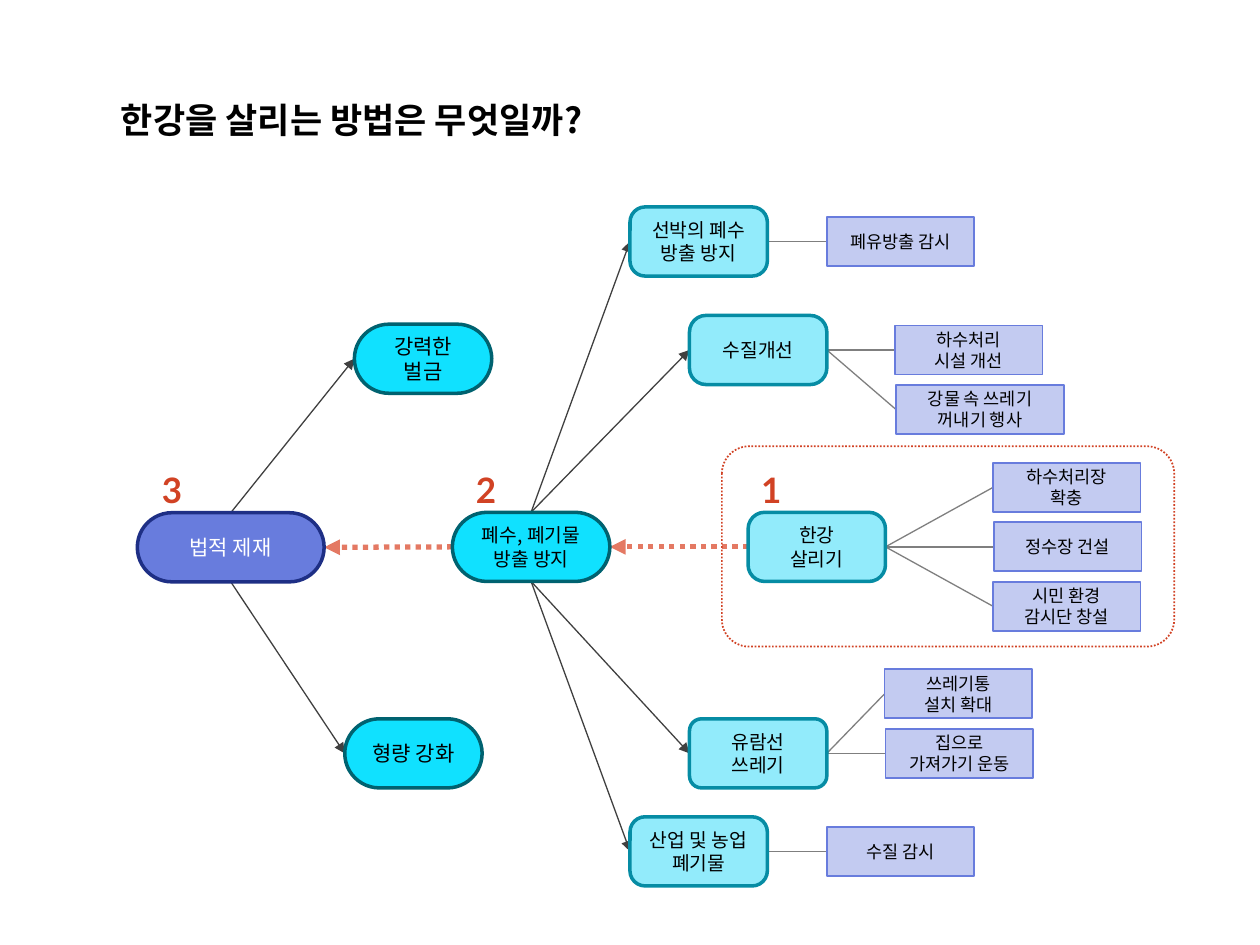
from dataclasses import dataclass

from lxml import etree
from pptx import Presentation
from pptx.dml.color import RGBColor
from pptx.enum import dml, shapes, text
from pptx.oxml import ns
from pptx.util import Pt


@dataclass(frozen=True)
class Theme:
    korean: str = "Noto Sans CJK KR"
    latin: str = "Lato"
    black: str = "000000"
    white: str = "FFFFFF"
    red: str = "D14224"
    coral: str = "E47963"
    dark_gray: str = "404040"
    gray: str = "7F7F7F"
    # Box kinds: fill, outline, outline width, text colour
    root: tuple = ("687CDD", "1E2F85", 2, "FFFFFF")
    cause: tuple = ("10E1FF", "006270", 2, "000000")
    action: tuple = ("92EBFB", "068CA4", 2, "000000")
    measure: tuple = ("C3CBF1", "687CDD", 1, "000000")
    heading: int = 20
    large: int = 12
    medium: int = 11
    small: int = 10


theme = Theme()
TOP, LEFT, BOTTOM, RIGHT = range(4)  # connection sites of a box
PILL, SQUARE = 0.5, 0
BOX_W, BOX_H = 78.5, 39.5
MEASURE_W, MEASURE_H = 84.25, 28


def style_text(frame, size, color, font, bold=False, align=text.PP_ALIGN.CENTER):
    frame.word_wrap = True
    for paragraph in frame.paragraphs:
        paragraph.alignment = align
        for run in paragraph.runs:
            run.font.size, run.font.bold, run.font.name = Pt(size), bold, font
            run.font.color.rgb = RGBColor.from_string(color)
            east_asian = etree.SubElement(run._r.get_or_add_rPr(), ns.qn("a:ea"))
            east_asian.set("typeface", font)


def style_line(line, color, width, dotted=False):
    line.color.rgb = RGBColor.from_string(color)
    line.width = Pt(width)
    if dotted:
        line.dash_style = dml.MSO_LINE.ROUND_DOT


prs = Presentation()
prs.slide_width, prs.slide_height = Pt(720), Pt(540)
slide = prs.slides.add_slide(prs.slide_layouts[6])

# Boxes: key -> label, left, vertical middle, width, corner, kind, type size
boxes = {
    "rescue": ("한강\v살리기", 427.5, 312.5, BOX_W, 0.239, theme.action, theme.medium),
    "cruise": ("유람선\v쓰레기", 394, 430.5, BOX_W, 0.174, theme.action, theme.medium),
    "quality": ("수질개선", 394, 200, BOX_W, 0.239, theme.action, theme.medium),
    "dumping": ("폐수, 폐기물\v방출 방지", 258.5, 312.5, 90, PILL, theme.cause, theme.medium),
    "ships": ("선박의 폐수 방출 방지", 360, 138, BOX_W, 0.218, theme.action, theme.medium),
    "law": ("법적 제재", 78.5, 312.75, 106.75, PILL, theme.root, theme.large),
    "penalty": ("형량 강화", 197, 430.5, BOX_W, PILL, theme.cause, theme.large),
    "fine": ("강력한\v벌금", 202.5, 205, BOX_W, PILL, theme.cause, theme.large),
    "industry": ("산업 및 농업 폐기물", 360, 486.5, BOX_W, 0.218, theme.action, theme.medium),
}

# Measures: parent, label, left, vertical middle, width
measures = [
    ("rescue", "하수처리장\n확충", 567.5, 278.5, MEASURE_W),
    ("rescue", "정수장 건설", 568, 312.5, MEASURE_W),
    ("rescue", "시민 환경\v감시단 창설", 567.5, 346.5, MEASURE_W),
    ("cruise", "쓰레기통\v설치 확대", 505.5, 396.5, MEASURE_W),
    ("cruise", "집으로\v가져가기 운동", 506, 430.5, MEASURE_W),
    ("quality", "하수처리\v시설 개선", 511.5, 200, MEASURE_W),
    ("quality", "강물 속 쓰레기\v꺼내기 행사", 512, 234, 96),
    ("industry", "수질 감시", 472.5, 486.5, MEASURE_W),
    ("ships", "폐유방출 감시", 472.5, 138, MEASURE_W),
]

# Links: start, site, end, site, colour, width, dotted, arrow
links = []
for parent, label, left, middle, width in measures:
    boxes[label] = (label, left, middle, width, SQUARE, theme.measure, theme.small)
    links.append((parent, RIGHT, label, LEFT, theme.gray, 0.75, False, False))
for parent, site, child in [
    ("dumping", TOP, "quality"), ("dumping", BOTTOM, "cruise"),
    ("dumping", BOTTOM, "industry"), ("dumping", TOP, "ships"),
    ("law", BOTTOM, "penalty"), ("law", TOP, "fine"),
]:
    links.append((parent, site, child, LEFT, theme.dark_gray, 0.75, False, True))
for start, end in [("rescue", "dumping"), ("dumping", "law")]:
    links.append((start, LEFT, end, RIGHT, theme.coral, 3, True, True))

# Connectors come first so that they lie behind the boxes
connectors = []
for *_, color, width, dotted, arrow in links:
    connector = slide.shapes.add_connector(shapes.MSO_CONNECTOR.STRAIGHT, 0, 0, 0, 0)
    style_line(connector.line, color, width, dotted)
    properties = connector._element.spPr
    if arrow:
        outline = properties.find(ns.qn("a:ln"))
        etree.SubElement(outline, ns.qn("a:tailEnd")).set("type", "triangle")
    etree.SubElement(properties, ns.qn("a:effectLst"))
    connectors.append(connector)

# Boxes
drawn = {}
for key, (label, left, middle, width, corner, kind, size) in boxes.items():
    fill, outline, outline_width, ink = kind
    height = MEASURE_H if kind == theme.measure else BOX_H
    box = slide.shapes.add_shape(
        shapes.MSO_SHAPE.ROUNDED_RECTANGLE,
        Pt(left), Pt(middle - height / 2), Pt(width), Pt(height))
    box.adjustments[0] = corner
    box.shadow.inherit = False
    box.fill.solid()
    box.fill.fore_color.rgb = RGBColor.from_string(fill)
    style_line(box.line, outline, outline_width)
    box.text_frame.text = label
    box.text_frame.vertical_anchor = text.MSO_ANCHOR.MIDDLE
    style_text(box.text_frame, size, ink, theme.korean)
    drawn[key] = box

# Attach the connectors to the boxes
for connector, (start, start_site, end, end_site, *_) in zip(connectors, links):
    connector.begin_connect(drawn[start], start_site)
    connector.end_connect(drawn[end], end_site)

# Step numbers
for step, left in [("1", 421), ("2", 258), ("3", 78.5)]:
    number = slide.shapes.add_textbox(Pt(left), Pt(264), Pt(39.5), Pt(31.5))
    number.text_frame.text = step
    style_text(number.text_frame, theme.heading, theme.red, theme.latin, bold=True)

# Dotted frame around the first step
focus = slide.shapes.add_shape(
    shapes.MSO_SHAPE.ROUNDED_RECTANGLE, Pt(412.5), Pt(255), Pt(258.5), Pt(114.5))
focus.adjustments[0] = 0.136
focus.shadow.inherit = False
focus.fill.background()
style_line(focus.line, theme.red, 1, dotted=True)

# Title
title = slide.shapes.add_textbox(Pt(62), Pt(52.5), Pt(348.5), Pt(31.5))
title.text_frame.text = "한강을 살리는 방법은 무엇일까?"
style_text(title.text_frame, theme.heading, theme.black, theme.korean,
           bold=True, align=text.PP_ALIGN.LEFT)

prs.save("out.pptx")
